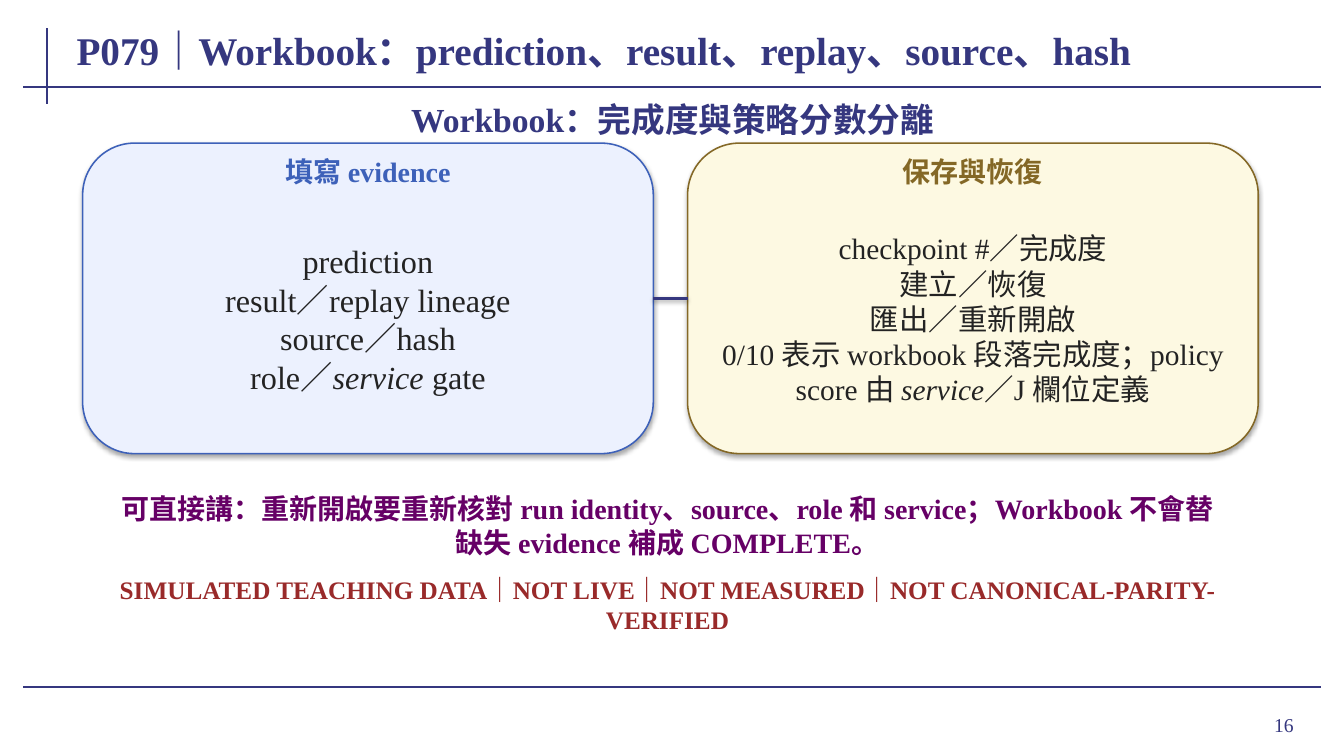
import lxml.etree
import pptx
import pptx.dml.color
import pptx.enum.shapes
import pptx.enum.text
import pptx.oxml.ns
import pptx.util

Inches = pptx.util.Inches
Pt = pptx.util.Pt
RGBColor = pptx.dml.color.RGBColor
ALIGN = pptx.enum.text.PP_ALIGN
AUTO_SIZE = pptx.enum.text.MSO_AUTO_SIZE

NAVY = RGBColor(0x35, 0x37, 0x7F)
BLUE = RGBColor(0x3D, 0x61, 0xB9)
PALE_BLUE = RGBColor(0xEC, 0xF1, 0xFE)
BROWN = RGBColor(0x84, 0x68, 0x26)
PALE_YELLOW = RGBColor(0xFD, 0xF9, 0xE2)
INK = RGBColor(0x23, 0x23, 0x23)
PURPLE = RGBColor(0x66, 0x00, 0x66)
RED = RGBColor(0x99, 0x2A, 0x2A)
FONT = "Times New Roman"


def write_text(shape, paragraphs, size, color, bold=False, align=ALIGN.CENTER,
               auto_size=AUTO_SIZE.SHAPE_TO_FIT_TEXT):
    """Fill a shape; each paragraph is a list of runs, with "service" in italics."""
    frame = shape.text_frame
    frame.word_wrap = True
    frame.auto_size = auto_size
    frame.vertical_anchor = pptx.enum.text.MSO_ANCHOR.MIDDLE
    frame.margin_left = frame.margin_right = Inches(0.08)
    frame.margin_top = frame.margin_bottom = Inches(0.04)
    for index, runs in enumerate(paragraphs):
        paragraph = frame.add_paragraph() if index else frame.paragraphs[0]
        paragraph.alignment = align
        for text in runs:
            run = paragraph.add_run()
            run.text = text
            run.font.name = FONT
            run.font.size = Pt(size)
            run.font.bold = bold
            run.font.italic = text == "service"
            run.font.color.rgb = color


def set_shadow(shape, opacity=None, distance=0):
    """Add an effect list: empty, or holding a soft shadow straight below."""
    properties = shape._element.spPr
    effects = lxml.etree.SubElement(properties, pptx.oxml.ns.qn("a:effectLst"))
    if opacity:
        shadow = lxml.etree.SubElement(
            effects, pptx.oxml.ns.qn("a:outerShdw"), blurRad=str(Pt(3.1)),
            dist=str(Pt(distance)), dir="5400000", rotWithShape="0")
        black = lxml.etree.SubElement(shadow, pptx.oxml.ns.qn("a:srgbClr"), val="000000")
        lxml.etree.SubElement(black, pptx.oxml.ns.qn("a:alpha"), val=str(opacity * 1000))


presentation = pptx.Presentation()
presentation.slide_width = Inches(13.33)
presentation.slide_height = Inches(7.5)
slide = presentation.slides.add_slide(presentation.slide_layouts[5])
shapes = slide.shapes
STRAIGHT = pptx.enum.shapes.MSO_CONNECTOR.STRAIGHT

# Frame rules
for x1, y1, x2, y2 in [(0.47, 0.28, 0.47, 1.03), (0.23, 0.86, 13.1, 0.86),
                       (0.23, 6.82, 13.1, 6.82)]:
    rule = shapes.add_connector(STRAIGHT, Inches(x1), Inches(y1), Inches(x2), Inches(y2))
    rule.line.color.rgb = NAVY
    rule.line.width = Pt(1.5)
    set_shadow(rule)

# Title
title = shapes.title
title.left, title.top = Inches(0.68), Inches(0.18)
title.width, title.height = Inches(11.95), Inches(0.62)
write_text(title, [["P079｜Workbook：prediction、result、replay、source、hash"]],
           28, NAVY, True, ALIGN.LEFT, AUTO_SIZE.NONE)

# Two cards with heading and body
CARD_TOP = 1.42
cards = [
    (0.82, PALE_BLUE, BLUE, "填寫 evidence", 23,
     [["prediction"], ["result／replay lineage"], ["source／hash"],
      ["role／", "service", " gate"]]),
    (6.82, PALE_YELLOW, BROWN, "保存與恢復", 21,
     [["checkpoint #／完成度"], ["建立／恢復"], ["匯出／重新開啟"],
      ["0/10 表示 workbook 段落完成度；policy score 由 ", "service", "／J 欄位定義"]]),
]
card_shapes = []
for left, fill, accent, heading, body_size, body in cards:
    card = shapes.add_shape(pptx.enum.shapes.MSO_SHAPE.ROUNDED_RECTANGLE,
                            Inches(left), Inches(CARD_TOP), Inches(5.66), Inches(3.08))
    card.fill.solid()
    card.fill.fore_color.rgb = fill
    card.line.color.rgb = accent
    card.line.width = Pt(1.1)
    set_shadow(card, 35, 1.8)
    card_shapes.append(card)

    heading_box = shapes.add_textbox(Inches(left + 0.14), Inches(CARD_TOP + 0.12),
                                     Inches(5.38), Inches(0.32))
    write_text(heading_box, [[heading]], 20, accent, True)
    body_box = shapes.add_textbox(Inches(left + 0.16), Inches(CARD_TOP + 0.52),
                                  Inches(5.34), Inches(2.44))
    write_text(body_box, body, body_size, INK)

# Link between the cards
link = shapes.add_connector(STRAIGHT, Inches(6.48), Inches(2.96), Inches(6.82), Inches(2.96))
link.begin_connect(card_shapes[0], 3)
link.end_connect(card_shapes[1], 1)
link.line.color.rgb = NAVY
link.line.width = Pt(1.8)
set_shadow(link, 38, 1.6)

# Subtitle, talking point and data notice
captions = [
    (0.86, 0.94, 11.62, 0.48, 24, NAVY, "Workbook：完成度與策略分數分離"),
    (1.02, 4.92, 11.2, 0.58, 20, PURPLE,
     "可直接講：重新開啟要重新核對 run identity、source、role 和 service；"
     "Workbook 不會替缺失 evidence 補成 COMPLETE。"),
    (0.72, 5.86, 11.8, 0.27, 18, RED,
     "SIMULATED TEACHING DATA｜NOT LIVE｜NOT MEASURED｜NOT CANONICAL-PARITY-VERIFIED"),
]
for left, top, width, height, size, color, text in captions:
    caption = shapes.add_textbox(Inches(left), Inches(top), Inches(width), Inches(height))
    write_text(caption, [[text]], size, color, True)

# Page number
page_number = shapes.add_textbox(Inches(11.96), Inches(6.93), Inches(0.97), Inches(0.52))
write_text(page_number, [["16"]], 14, NAVY, align=ALIGN.RIGHT, auto_size=AUTO_SIZE.NONE)
page_number.text_frame.margin_right = Inches(0.1)

presentation.save("out.pptx")
